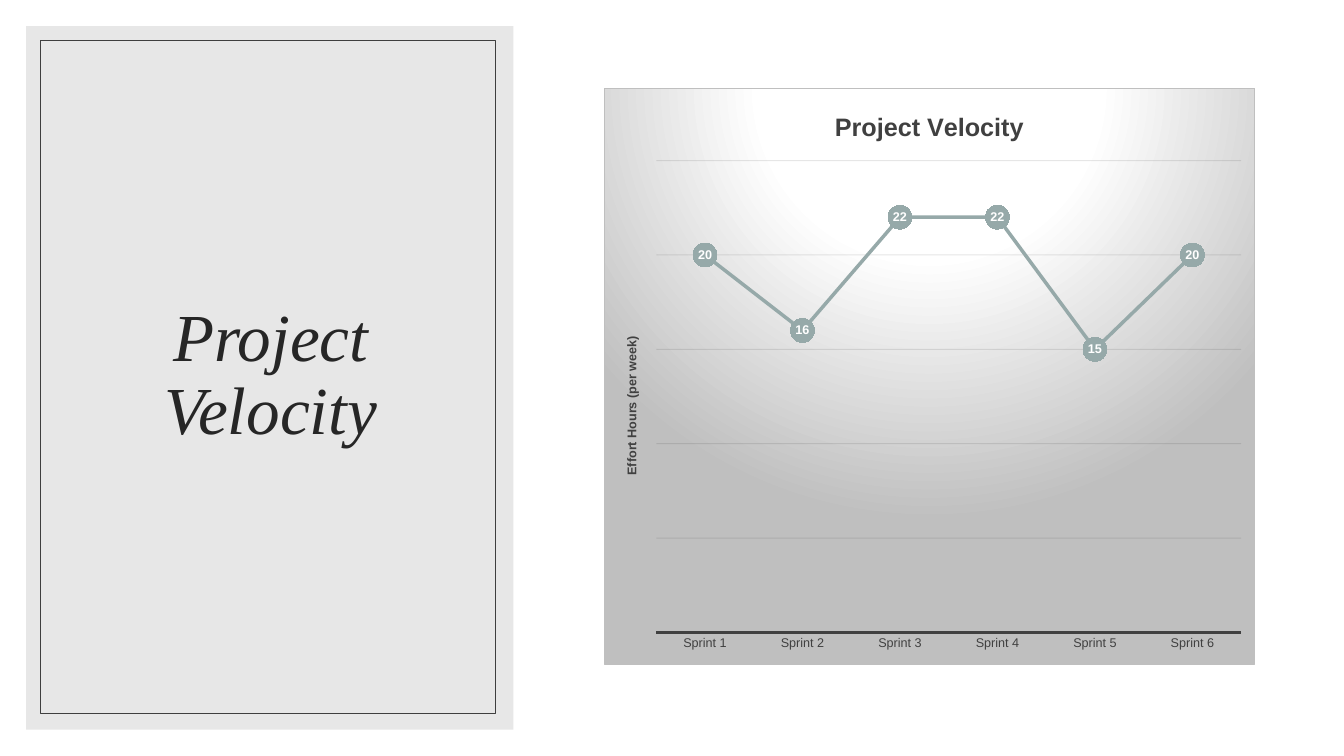
from lxml.etree import SubElement
from pptx import Presentation
from pptx.chart.data import CategoryChartData
from pptx.dml.color import RGBColor
from pptx.enum.chart import XL_CHART_TYPE, XL_LABEL_POSITION, XL_MARKER_STYLE, XL_TICK_MARK
from pptx.enum.shapes import MSO_SHAPE
from pptx.enum.text import MSO_ANCHOR, PP_ALIGN
from pptx.oxml import parse_xml
from pptx.oxml.ns import nsdecls, qn
from pptx.util import Emu, Pt

PX = 9525
PANEL = RGBColor(0xD8, 0xD8, 0xD8)
FRAME = RGBColor(0x3F, 0x3F, 0x3F)
INK = RGBColor(0x26, 0x26, 0x26)
GREY = RGBColor(0x40, 0x40, 0x40)
GRID = RGBColor(0x0D, 0x0D, 0x0D)
SAGE = RGBColor(0x96, 0xA9, 0xA9)
WHITE = RGBColor(0xFF, 0xFF, 0xFF)

SPRINTS = [f"Sprint {n}" for n in range(1, 7)]
HOURS = (20, 16, 22, 22, 15, 20)

CARD = f"""<c:spPr {nsdecls("c", "a")}>
  <a:gradFill><a:gsLst>
    <a:gs pos="0"><a:srgbClr val="FFFFFF"/></a:gs>
    <a:gs pos="39000"><a:srgbClr val="FFFFFF"/></a:gs>
    <a:gs pos="100000"><a:srgbClr val="BFBFBF"/></a:gs>
  </a:gsLst><a:path path="circle">
    <a:fillToRect l="50000" t="-80000" r="50000" b="180000"/>
  </a:path></a:gradFill>
  <a:ln w="9525"><a:solidFill><a:srgbClr val="BFBFBF"/></a:solidFill></a:ln>
</c:spPr>"""

LAYOUT = f"""<c:layout {nsdecls("c")}><c:manualLayout>
  <c:layoutTarget val="inner"/><c:xMode val="edge"/><c:yMode val="edge"/>
  <c:x val="0.08"/><c:y val="0.125"/><c:w val="0.9"/><c:h val="0.82"/>
</c:manualLayout></c:layout>"""


def scale(*sides):
    return [Emu(side * PX) for side in sides]


def fade(node, percent):
    """Set the opacity of the first colour inside node."""
    color = next(node.iter(qn("a:srgbClr")))
    SubElement(color, qn("a:alpha")).set("val", str(percent * 1000))


def style(font, size, color, bold=False):
    font.name, font.size, font.bold = "Arial", Pt(size), bold
    font.color.rgb = color


def add_box(slide, box, fill=None, line=None):
    shape = slide.shapes.add_shape(MSO_SHAPE.RECTANGLE, *scale(*box))
    shape.shadow.inherit = False
    if fill is None:
        shape.fill.background()
    else:
        shape.fill.solid()
        shape.fill.fore_color.rgb = fill
    if line is None:
        shape.line.fill.background()
    else:
        shape.line.color.rgb = line
        shape.line.width = Pt(0.75)
    return shape


def add_title(slide, box, text):
    frame = slide.shapes.add_textbox(*scale(*box)).text_frame
    frame.word_wrap = True
    frame.vertical_anchor = MSO_ANCHOR.MIDDLE
    frame.text = text
    line = frame.paragraphs[0]
    line.alignment = PP_ALIGN.CENTER
    line.line_spacing = 0.9
    font = line.runs[0].font
    font.name, font.size, font.italic = "Times New Roman", Pt(48), True
    font.color.rgb = INK


def add_label(owner, text, size):
    """Write a bold title on a chart or an axis."""
    frame = owner.text_frame
    frame.text = text
    style(frame.paragraphs[0].runs[0].font, size, GREY, True)


def style_axes(chart):
    base = chart.category_axis
    base.major_tick_mark = base.minor_tick_mark = XL_TICK_MARK.NONE
    base.format.line.color.rgb = GREY
    base.format.line.width = Pt(1.5)
    style(base.tick_labels.font, 9, GREY)

    side = chart.value_axis
    side.minimum_scale, side.maximum_scale, side.major_unit = 0, 25, 5
    side.visible = False
    add_label(side.axis_title, "Effort Hours (per week)", 9)
    line = side.major_gridlines.format.line
    line.color.rgb = GRID
    line.width = Pt(0.75)
    fade(next(chart.element.iter(qn("c:majorGridlines"))), 10)


def style_line(series):
    series.smooth = False
    series.format.line.color.rgb = SAGE
    series.format.line.width = Pt(2.5)
    marker = series.marker
    marker.style, marker.size = XL_MARKER_STYLE.CIRCLE, 17
    marker.format.fill.solid()
    marker.format.fill.fore_color.rgb = SAGE
    marker.format.line.fill.background()
    labels = series.data_labels
    labels.show_value = True
    labels.position = XL_LABEL_POSITION.CENTER
    style(labels.font, 9, WHITE, True)


def add_graph(slide, box, title):
    data = CategoryChartData()
    data.categories = SPRINTS
    data.add_series("Series 1", HOURS)
    chart = slide.shapes.add_chart(XL_CHART_TYPE.LINE_MARKERS, *scale(*box), data).chart
    chart.has_legend = False
    chart.font.name, chart.font.size = "Arial", Pt(10)
    chart.plots[0].vary_by_categories = False
    add_label(chart.chart_title, title, 18)
    style_axes(chart)
    style_line(chart.plots[0].series[0])

    # Card fill and plot place
    root = chart.element.find(qn("c:chart"))
    root.addnext(parse_xml(CARD))
    area = root.find(qn("c:plotArea"))
    for old in area.findall(qn("c:layout")):
        area.remove(old)
    area.insert(0, parse_xml(LAYOUT))


def main():
    deck = Presentation()
    deck.slide_width, deck.slide_height = scale(1280, 720)
    slide = deck.slides.add_slide(deck.slide_layouts[6])

    # Title panel
    panel = add_box(slide, (25, 25, 464, 670), fill=PANEL)
    fade(panel.element, 60)
    add_title(slide, (60, 59, 396, 599), "Project Velocity")
    add_box(slide, (39, 39, 433, 641), line=FRAME)

    # Velocity chart
    add_graph(slide, (575, 84, 620, 549), "Project Velocity")
    deck.save("out.pptx")


if __name__ == "__main__":
    main()
